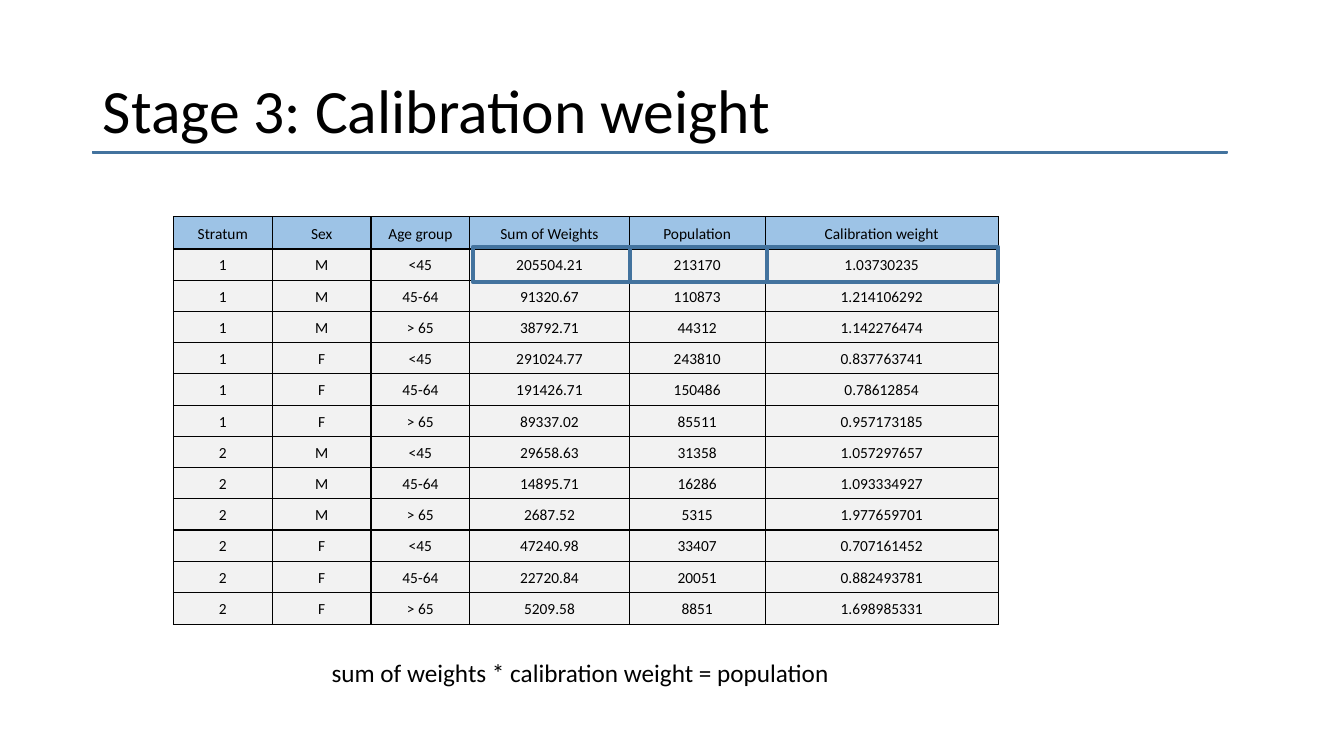
from itertools import product

from lxml import etree
from pptx import Presentation
from pptx.dml.color import RGBColor
from pptx.enum.shapes import MSO_SHAPE
from pptx.enum.text import MSO_ANCHOR, MSO_AUTO_SIZE, PP_ALIGN
from pptx.oxml.ns import qn
from pptx.util import Inches, Pt

RECT = MSO_SHAPE.RECTANGLE
MIDDLE = MSO_ANCHOR.MIDDLE
LEFT, CENTER = PP_ALIGN.LEFT, PP_ALIGN.CENTER
FIT_SHAPE = MSO_AUTO_SIZE.SHAPE_TO_FIT_TEXT

BLACK = RGBColor(0x00, 0x00, 0x00)
BLUE = RGBColor(0x5B, 0x9B, 0xD5)
DARK_BLUE = RGBColor(0x43, 0x73, 0x9E)
HEADER_BLUE = RGBColor(0x9D, 0xC3, 0xE6)
LIGHT_GREY = RGBColor(0xF2, 0xF2, 0xF2)

HEADERS = ["Stratum", "Sex", "Age group", "Sum of Weights", "Population",
           "Calibration weight"]
GROUPS = product(["1", "2"], ["M", "F"], ["<45", "45-64", "> 65"])
RESULTS = [
    ("205504.21", "213170", "1.03730235"),
    ("91320.67", "110873", "1.214106292"),
    ("38792.71", "44312", "1.142276474"),
    ("291024.77", "243810", "0.837763741"),
    ("191426.71", "150486", "0.78612854"),
    ("89337.02", "85511", "0.957173185"),
    ("29658.63", "31358", "1.057297657"),
    ("14895.71", "16286", "1.093334927"),
    ("2687.52", "5315", "1.977659701"),
    ("47240.98", "33407", "0.707161452"),
    ("22720.84", "20051", "0.882493781"),
    ("5209.58", "8851", "1.698985331"),
]
COL_WIDTHS = [0.98, 0.98, 0.98, 1.58, 1.35, 2.31]


class SlideBuilder:
    font = "Calibri"

    def __init__(self, slide):
        self.slide = slide

    def set_text(self, tf, text, size, align):
        tf.text = text
        p = tf.paragraphs[0]
        p.alignment = align
        for r in p.runs:
            r.font.name = self.font
            r.font.size = Pt(size)
            r.font.bold = False
            r.font.color.rgb = BLACK

    def title(self, text, left, top, width, height):
        sp = self.slide.shapes.title
        sp.left, sp.top = Inches(left), Inches(top)
        sp.width, sp.height = Inches(width), Inches(height)
        tf = sp.text_frame
        self.set_text(tf, text, 44, LEFT)
        tf.vertical_anchor = MIDDLE
        tf.paragraphs[0].line_spacing = 0.9

    def text(self, text, left, top, width, height):
        sp = self.slide.shapes.add_textbox(
            Inches(left), Inches(top), Inches(width), Inches(height))
        tf = sp.text_frame
        self.set_text(tf, text, 18, LEFT)
        tf.word_wrap = False
        tf.auto_size = FIT_SHAPE

    def rect(self, left, top, width, height, line_width, fill=None):
        sp = self.slide.shapes.add_shape(
            RECT, Inches(left), Inches(top), Inches(width), Inches(height))
        sp.shadow.inherit = False
        if fill is None:
            sp.fill.background()
        else:
            sp.fill.solid()
            sp.fill.fore_color.rgb = fill
        sp.line.color.rgb = DARK_BLUE
        sp.line.width = Pt(line_width)

    def borders(self, cell):
        tc_pr = cell._tc.get_or_add_tcPr()
        for side in ("a:lnL", "a:lnR", "a:lnT", "a:lnB"):
            ln = etree.SubElement(tc_pr, qn(side), w=str(Pt(1)))
            fill = etree.SubElement(ln, qn("a:solidFill"))
            etree.SubElement(fill, qn("a:srgbClr"), val=str(BLACK))

    def table(self, rows, left, top, col_widths, row_heights):
        table = self.slide.shapes.add_table(
            len(rows), len(col_widths), Inches(left), Inches(top),
            Inches(sum(col_widths)), Inches(sum(row_heights))).table
        table.first_row = table.horz_banding = False
        for column, width in zip(table.columns, col_widths):
            column.width = Inches(width)
        for i, values in enumerate(rows):
            table.rows[i].height = Inches(row_heights[i])
            for j, value in enumerate(values):
                cell = table.cell(i, j)
                self.set_text(cell.text_frame, value, 11, CENTER)
                cell.vertical_anchor = MIDDLE
                cell.margin_left = cell.margin_right = Inches(0.02)
                cell.margin_top, cell.margin_bottom = Inches(0.02), 0
                self.borders(cell)
                cell.fill.solid()
                cell.fill.fore_color.rgb = LIGHT_GREY if i else HEADER_BLUE


def main():
    prs = Presentation()
    prs.slide_width, prs.slide_height = Inches(13.33), Inches(7.5)
    s = SlideBuilder(prs.slides.add_slide(prs.slide_layouts[5]))

    # Title, closing formula and title rule
    s.title("Stage 3: Calibration weight", 0.92, 0.4, 11.5, 1.45)
    s.text("sum of weights * calibration weight = population",
           3.19, 6.47, 5.24, 0.4)
    s.rect(0.92, 1.5, 11.25, 0.02, 1, BLUE)

    # Calibration table
    rows = [HEADERS] + [g + r for g, r in zip(GROUPS, RESULTS)]
    s.table(rows, 1.72, 2.15, COL_WIDTHS, [0.32] + [0.31] * 11 + [0.32])

    # Frames around the first row's results
    for left, width in [(6.25, 1.36), (4.69, 1.56), (7.61, 2.29)]:
        s.rect(left, 2.45, width, 0.35, 3)

    prs.save("out.pptx")


if __name__ == "__main__":
    main()
